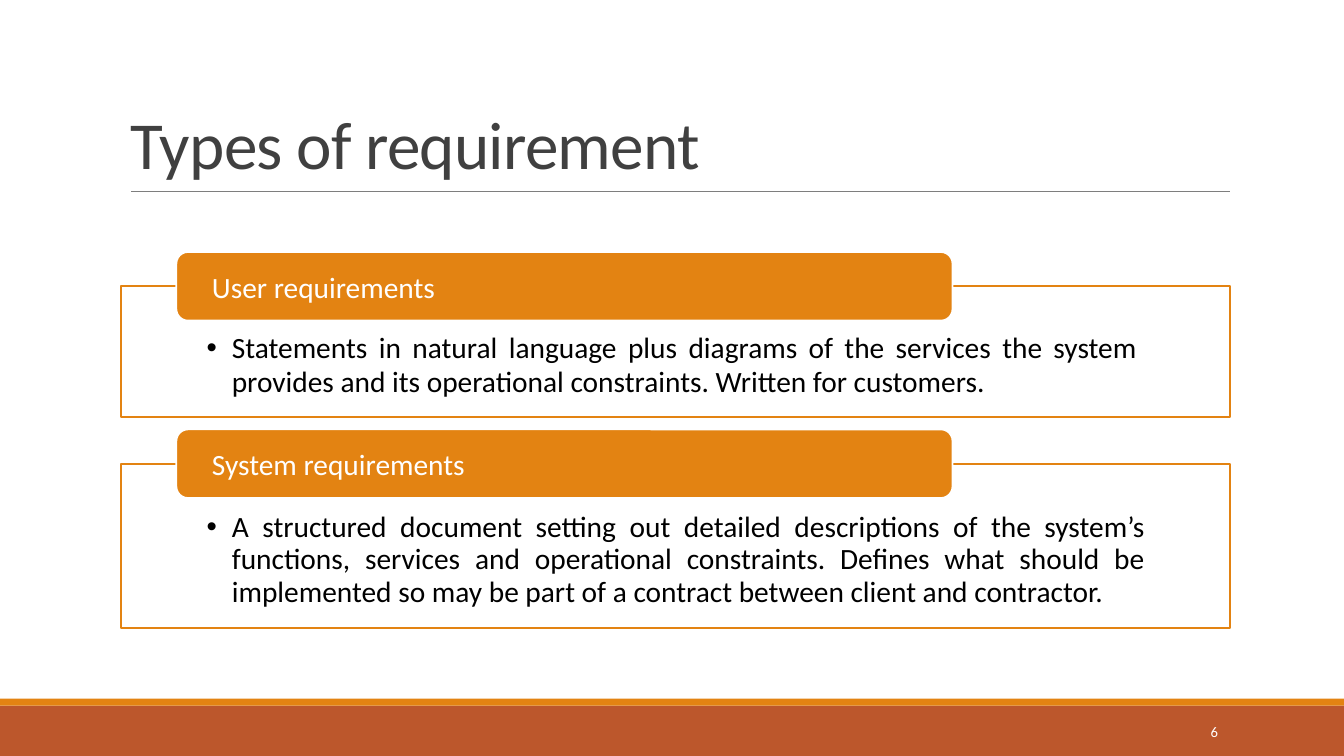
from dataclasses import dataclass

from lxml.etree import SubElement
from pptx import Presentation
from pptx.dml.color import RGBColor
from pptx.enum.shapes import MSO_CONNECTOR, MSO_SHAPE
from pptx.enum.text import MSO_ANCHOR, PP_ALIGN
from pptx.oxml.ns import qn
from pptx.util import Pt


@dataclass(frozen=True)
class Theme:
    font: str = "Calibri"
    orange: RGBColor = RGBColor(0xE3, 0x83, 0x12)
    rust: RGBColor = RGBColor(0xBC, 0x57, 0x2C)
    rule: RGBColor = RGBColor(0x7E, 0x7E, 0x7E)
    title: RGBColor = RGBColor(0x40, 0x40, 0x40)
    body: RGBColor = RGBColor(0, 0, 0)
    white: RGBColor = RGBColor(0xFF, 0xFF, 0xFF)
    title_size: float = 48
    text_size: float = 21
    number_size: float = 10.5
    outline: float = 1.25


THEME = Theme()


@dataclass(frozen=True)
class Card:
    heading: str
    statement: str
    top: float
    height: float
    text_top: float
    text_width: float
    line_spacing: float


CARDS = (
    Card(
        "User requirements",
        "Statements in natural language plus diagrams of the services the system "
        "provides and its operational constraints. Written for customers.",
        204.5, 93.6, 236.3, 665.3, Pt(24.2),
    ),
    Card(
        "System requirements",
        "A structured document setting out detailed descriptions of the system’s "
        "functions, services and operational constraints. Defines what should be "
        "implemented so may be part of a contract between client and contractor.",
        331.2, 117.4, 365.3, 671, 0.92,
    ),
)


def add_block(page, kind, left, top, width, height, fill=None, line=None):
    block = page.shapes.add_shape(kind, Pt(left), Pt(top), Pt(width), Pt(height))
    block.shadow.inherit = False
    if fill is None:
        block.fill.background()
    else:
        block.fill.solid()
        block.fill.fore_color.rgb = fill
    if line is None:
        block.line.fill.background()
    else:
        block.line.color.rgb = line
        block.line.width = Pt(THEME.outline)
    return block


def write(box, text, size, color, left=0, top=0, spacing=0):
    """Fill a box with one paragraph; left and top are insets."""
    frame = box.text_frame
    frame.word_wrap = True
    frame.vertical_anchor = MSO_ANCHOR.TOP
    frame.margin_left, frame.margin_top = Pt(left), Pt(top)
    frame.margin_right = frame.margin_bottom = 0
    para = frame.paragraphs[0]
    para.alignment = PP_ALIGN.LEFT
    span = para.add_run()
    span.text = text
    span.font.name = THEME.font
    span.font.size = Pt(size)
    span.font.color.rgb = color
    if spacing:
        span.font._element.set("spc", str(round(spacing * 100)))
    return para


def add_text(page, left, top, width, height, text, size, color, spacing=0):
    box = page.shapes.add_textbox(Pt(left), Pt(top), Pt(width), Pt(height))
    return write(box, text, size, color, spacing=spacing)


def add_bullet(para, indent):
    properties = para._p.get_or_add_pPr()
    properties.set("marL", str(Pt(indent)))
    properties.set("indent", str(-Pt(indent - 0.7)))
    SubElement(properties, qn("a:buFont"), typeface="Arial")
    SubElement(properties, qn("a:buChar"), char="•")


def add_rule(page, left, right, height):
    rule = page.shapes.add_connector(
        MSO_CONNECTOR.STRAIGHT, Pt(left), Pt(height), Pt(right), Pt(height)
    )
    rule.line.color.rgb = THEME.rule
    rule.line.width = Pt(0.5)
    SubElement(rule._element.spPr, qn("a:effectLst"))


def add_card(page, card):
    """Draw an outlined frame with a heading tab centred on its top edge."""
    add_block(page, MSO_SHAPE.RECTANGLE, 86.4, card.top, 792, card.height,
              line=THEME.orange)
    tab_height = 49
    tab = add_block(page, MSO_SHAPE.ROUNDED_RECTANGLE, 126, card.top - tab_height / 2,
                    554.4, tab_height, THEME.orange, THEME.white)
    tab.adjustments[0] = 0.17
    write(tab, card.heading, THEME.text_size, THEME.white, left=23, top=9.5)
    para = add_text(page, 146.9, card.text_top, card.text_width, 75,
                    card.statement, THEME.text_size, THEME.body)
    para.alignment = PP_ALIGN.JUSTIFY
    para.line_spacing = card.line_spacing
    add_bullet(para, 18.7)


def main():
    deck = Presentation()
    deck.slide_width, deck.slide_height = Pt(960), Pt(540)
    page = deck.slides.add_slide(deck.slide_layouts[6])
    add_block(page, MSO_SHAPE.RECTANGLE, 0, 504, 960, 36, THEME.rust)
    add_block(page, MSO_SHAPE.RECTANGLE, 0, 499, 960, 5, THEME.orange)
    add_rule(page, 93.6, 878.4, 136.8)
    add_text(page, 93.6, 73, 706, 58.6, "Types of requirement",
             THEME.title_size, THEME.title, spacing=-0.57)
    for card in CARDS:
        add_card(page, card)
    number = add_text(page, 864.7, 517.7, 15, 12.2, "6",
                      THEME.number_size, THEME.white)
    number.line_spacing = Pt(11.1)
    deck.save("out.pptx")


if __name__ == "__main__":
    main()
